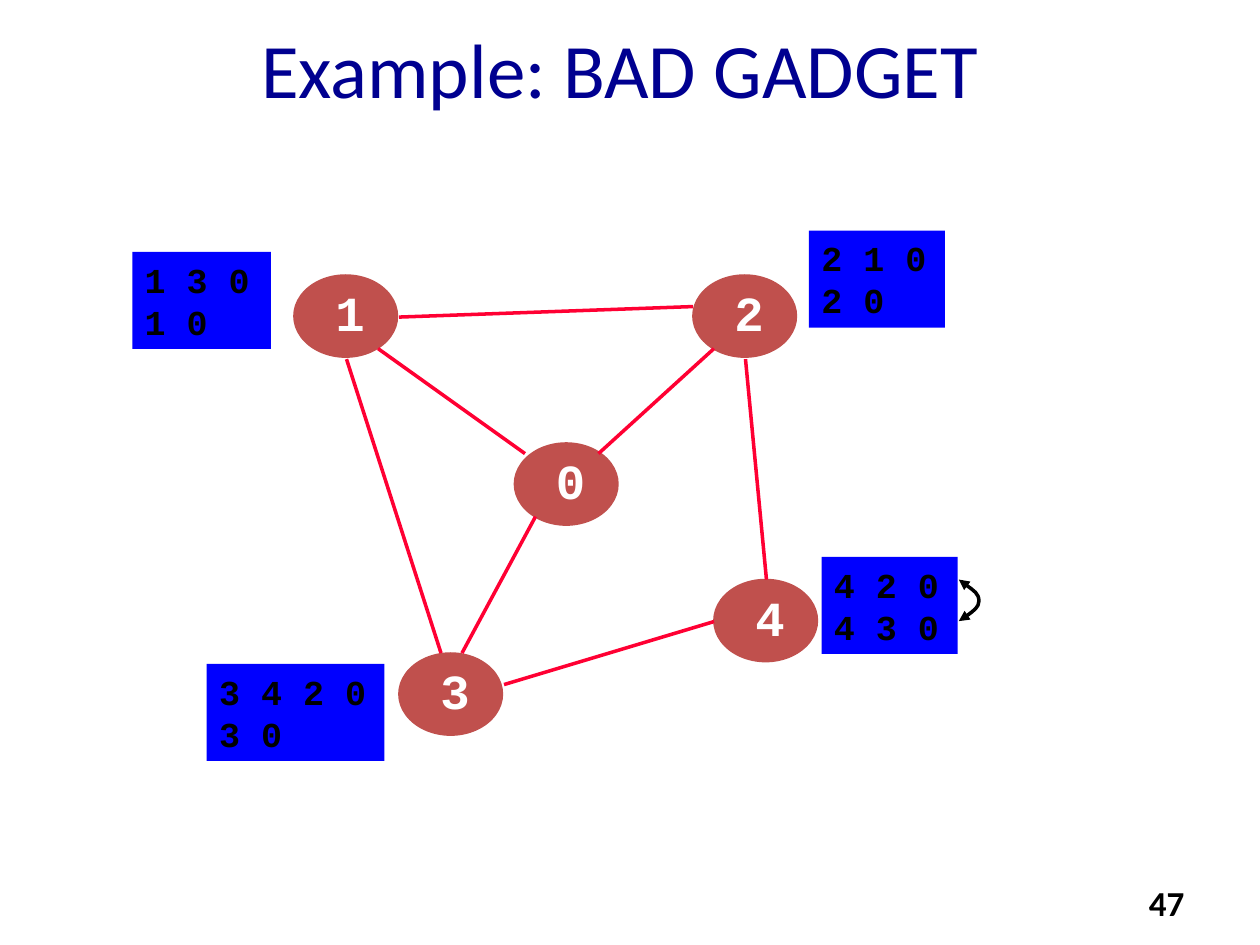
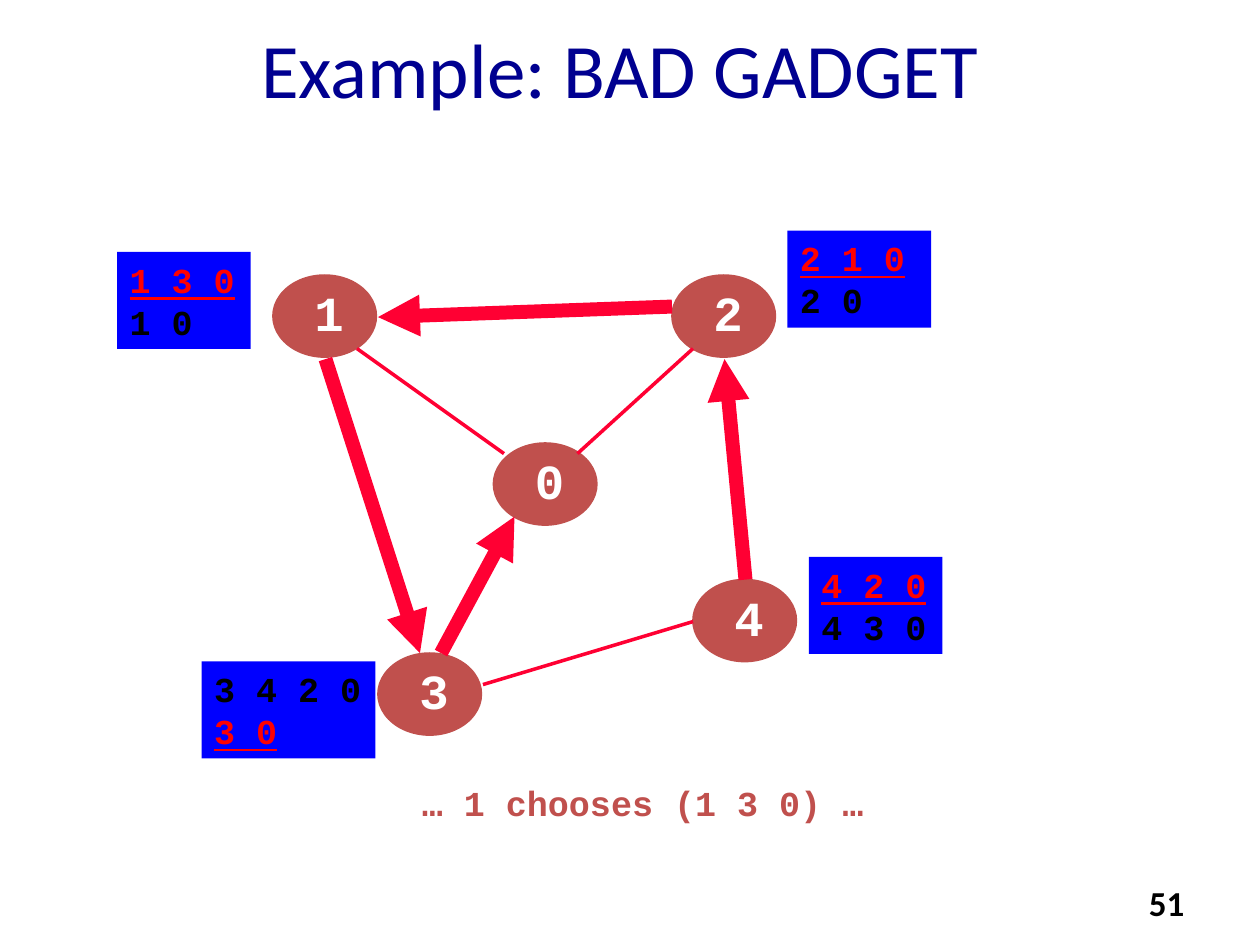
"""Build the two BAD GADGET slides: a routing graph with ranked paths per node."""
from lxml import etree
from pptx import Presentation
from pptx.dml.color import RGBColor
from pptx.enum.shapes import MSO_CONNECTOR, MSO_SHAPE
from pptx.enum.text import MSO_ANCHOR, MSO_AUTO_SIZE, PP_ALIGN
from pptx.oxml.ns import qn
from pptx.util import Inches, Pt

STRAIGHT = MSO_CONNECTOR.STRAIGHT
ELLIPSE, RECTANGLE = MSO_SHAPE.OVAL, MSO_SHAPE.RECTANGLE
LEFT, CENTER, RIGHT = PP_ALIGN.LEFT, PP_ALIGN.CENTER, PP_ALIGN.RIGHT
TOP, MIDDLE = MSO_ANCHOR.TOP, MSO_ANCHOR.MIDDLE
NO_AUTOFIT = MSO_AUTO_SIZE.NONE

NAVY, BLACK, WHITE = "000090", "000000", "FFFFFF"
NODE_RED, EDGE_RED, CHOSEN_RED, PATH_BLUE = "C0504D", "FF0033", "FF0000", "0000FF"
SANS, MONO = "Calibri", "Courier New"

CELL = Inches(1) / 12
GRID_TOP = Inches(0.1)
NODE_WIDTH, NODE_HEIGHT = Inches(0.82), Inches(0.65)

NODES = {"1": (28, 25), "2": (66, 25), "4": (68, 54), "3": (38, 61), "0": (49, 41)}
EDGES = {
    "10": (36, 32, 50, 42),
    "21": (66, 28, 38, 29),
    "20": (68, 32, 57, 42),
    "42": (73, 54, 71, 33),
    "13": (33, 33, 42, 61),
    "43": (68, 58, 48, 64),
    "30": (44, 61, 51, 48),
}
PATHS = [["2 1 0", "2 0"], ["1 3 0", "1 0"], ["4 2 0", "4 3 0"], ["3 4 2 0", "3 0"]]
PAGES = [
    {
        "number": "47", "shift": 0, "arrows": [], "chosen": [],
        "path_boxes": [(6.42, 1.83, 1.08), (1.05, 2, 1.1), (6.52, 4.42, 1.08), (1.64, 5.27, 1.41)],
    },
    {
        "number": "51", "shift": -2, "arrows": ["21", "42", "13", "30"],
        "chosen": ["2 1 0", "1 3 0", "4 2 0", "3 0"],
        "path_boxes": [(6.25, 1.83, 1.14), (0.93, 2, 1.06), (6.42, 4.42, 1.06), (1.6, 5.25, 1.38)],
    },
]


def rgb(value):
    """Turn a hex string into a colour."""
    return RGBColor.from_string(value)


def write(shape, lines, size, font, color, bold=True, align=LEFT, anchor=TOP, wrap=True):
    """Fill a shape with one paragraph per line and return the paragraphs."""
    frame = shape.text_frame
    frame.text = "\n".join(lines)
    frame.auto_size = NO_AUTOFIT
    frame.word_wrap = wrap
    frame.vertical_anchor = anchor
    for para in frame.paragraphs:
        para.alignment = align
        para.font.size, para.font.name, para.font.bold = Pt(size), font, bold
        para.font.color.rgb = rgb(color)
    return frame.paragraphs


deck = Presentation()
deck.slide_width, deck.slide_height = Inches(10), Inches(7.5)
title_only = deck.slide_layouts[5]

for page in PAGES:
    slide = deck.slides.add_slide(title_only)
    shapes = slide.shapes

    title = shapes.title
    title.left, title.top = Inches(0.17), Inches(0.33)
    title.width, title.height = Inches(9.5), Inches(0.42)
    write(title, ["Example: BAD GADGET"], 44, SANS, NAVY, bold=False, align=CENTER, anchor=MIDDLE)

    number_box = shapes.add_textbox(Inches(7.17), Inches(6.95), Inches(2.33), Inches(0.4))
    write(number_box, [page["number"]], 20, SANS, BLACK, align=RIGHT)

    for name, (column, row) in NODES.items():
        left, top = int((column + page["shift"]) * CELL), int(GRID_TOP + row * CELL)
        node = shapes.add_group_shape()
        disc = node.shapes.add_shape(ELLIPSE, left, top, NODE_WIDTH, NODE_HEIGHT)
        disc.shadow.inherit = False
        disc.fill.solid()
        disc.fill.fore_color.rgb = rgb(NODE_RED)
        disc.line.color.rgb = rgb(NODE_RED)
        disc.line.width = Pt(1)
        label = node.shapes.add_textbox(
            left + Inches(0.23), top + Inches(0.01), Inches(0.42), Inches(0.57))
        write(label, [name], 28, MONO, WHITE, wrap=False)

    for name, (x1, y1, x2, y2) in EDGES.items():
        edge = shapes.add_connector(
            STRAIGHT,
            int((x1 + page["shift"]) * CELL), int(GRID_TOP + y1 * CELL),
            int((x2 + page["shift"]) * CELL), int(GRID_TOP + y2 * CELL))
        edge.line.color.rgb = rgb(EDGE_RED)
        edge.line.width = Pt(8 if name in page["arrows"] else 2)
        if name in page["arrows"]:
            etree.SubElement(edge.line._get_or_add_ln(), qn("a:tailEnd"), type="triangle")
        etree.SubElement(edge._element.spPr, qn("a:effectLst"))

    for lines, (left, top, width) in zip(PATHS, page["path_boxes"]):
        path_box = shapes.add_shape(
            RECTANGLE, Inches(left), Inches(top), Inches(width), Inches(0.77))
        path_box.shadow.inherit = False
        path_box.fill.solid()
        path_box.fill.fore_color.rgb = rgb(PATH_BLUE)
        path_box.line.fill.background()
        for para in write(path_box, lines, 20, MONO, BLACK):
            if para.text in page["chosen"]:
                para.font.color.rgb = rgb(CHOSEN_RED)
                para.font.underline = True

first_slide, second_slide = deck.slides

curve_points = [(7.69, 4.66), (7.77, 4.71), (7.77, 4.77), (7.77, 4.82), (7.69, 4.88), (7.61, 4.93)]
builder = first_slide.shapes.build_freeform(Inches(7.61), Inches(4.6))
builder.add_line_segments([(Inches(x), Inches(y)) for x, y in curve_points], close=False)
swap_arrow = builder.convert_to_shape()
swap_arrow.shadow.inherit = False
swap_arrow.fill.background()
swap_arrow.line.color.rgb = rgb(BLACK)
swap_arrow.line.width = Pt(2)
for end in ("a:headEnd", "a:tailEnd"):
    etree.SubElement(swap_arrow.line._get_or_add_ln(), qn(end), type="triangle")
segments = swap_arrow._element.xpath(".//a:lnTo")
outline = segments[0].getparent()
for start in (0, 3):
    bezier = etree.SubElement(outline, qn("a:cubicBezTo"))
    for segment in segments[start:start + 3]:
        bezier.append(segment[0])
        outline.remove(segment)

caption = second_slide.shapes.add_textbox(Inches(3.25), Inches(6.15), Inches(4.33), Inches(0.76))
write(caption, ["… 1 chooses (1 3 0) …"], 20, MONO, NODE_RED)

deck.save("out.pptx")
